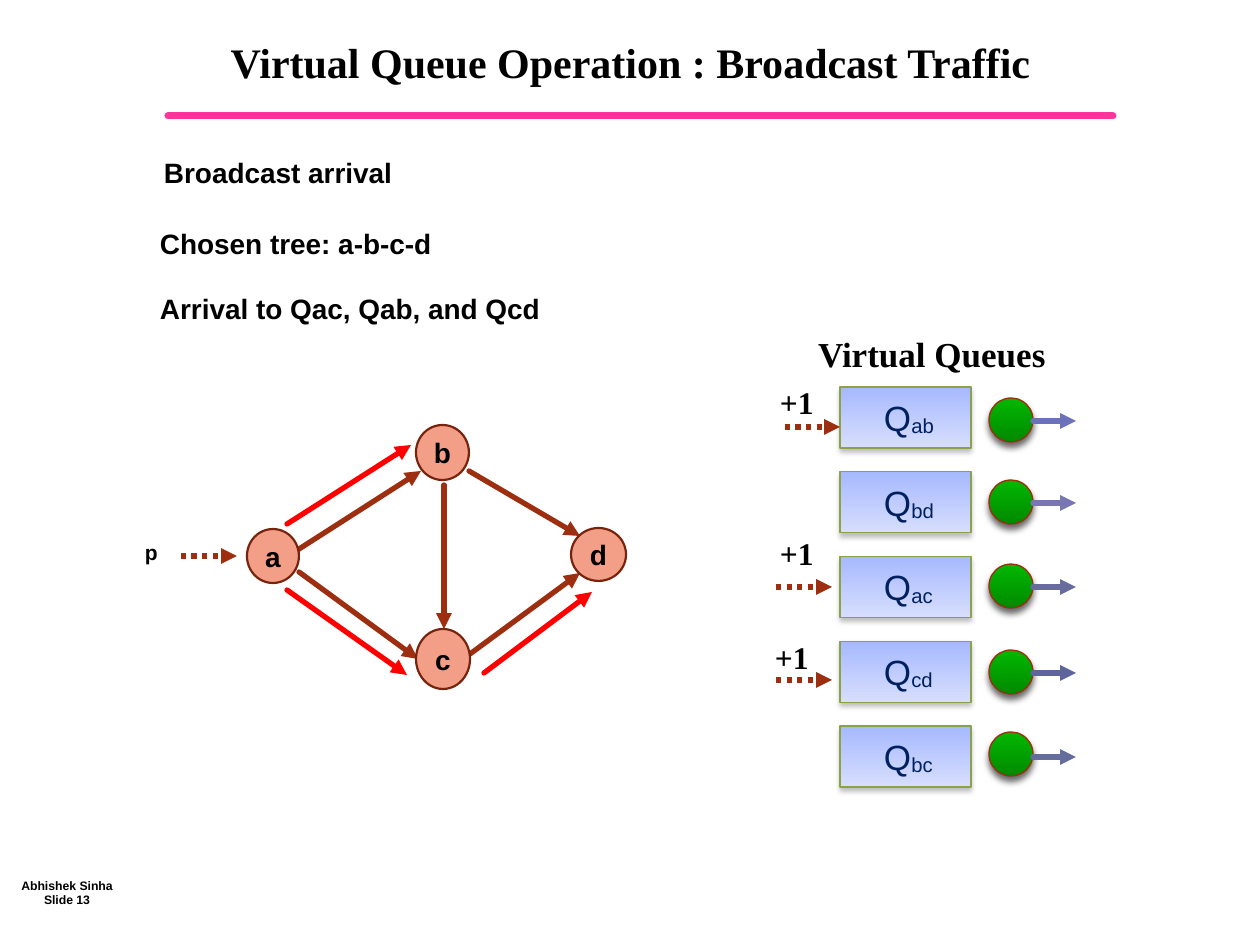
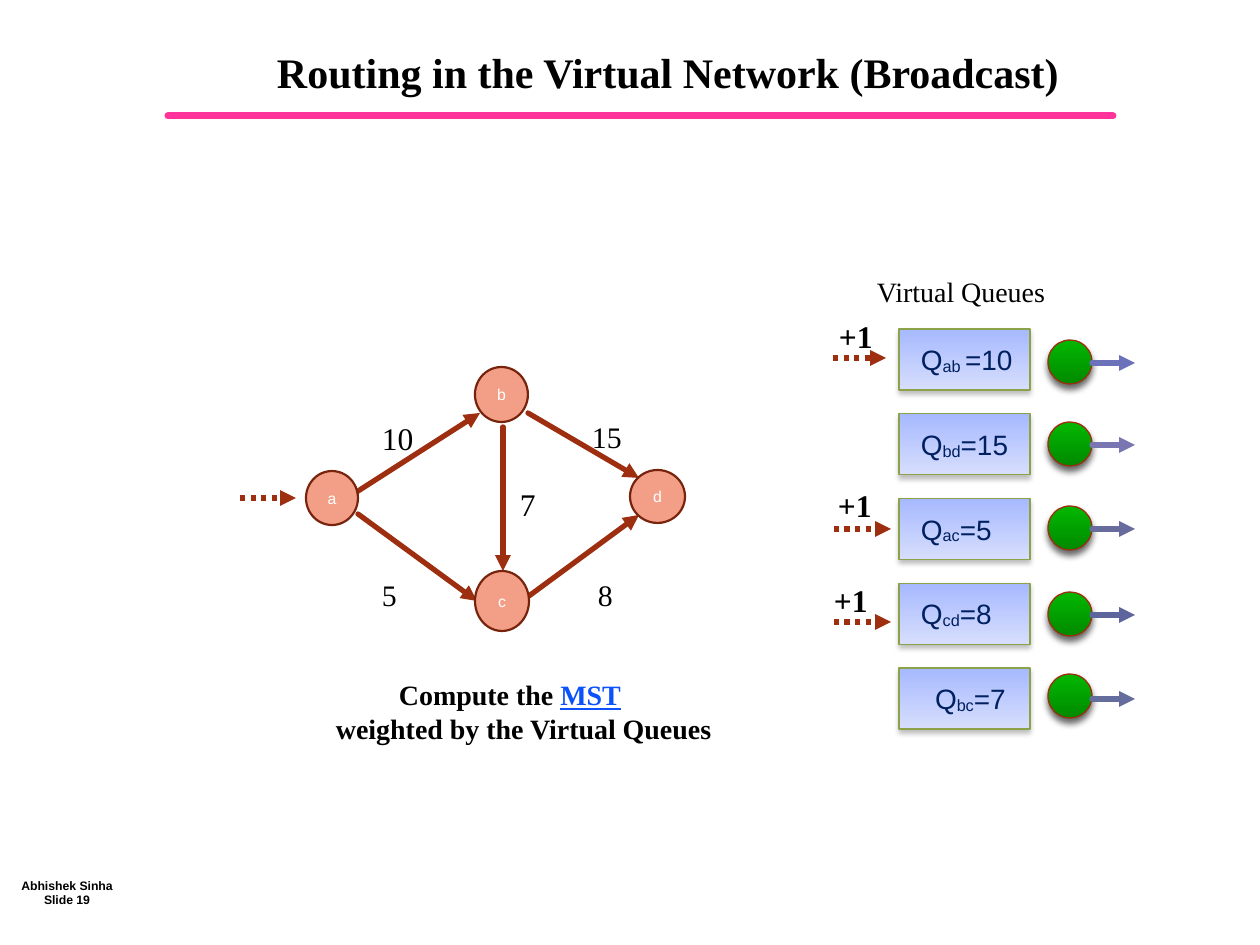
"""Build two slides on virtual queues under broadcast traffic."""
from dataclasses import dataclass

from lxml.etree import SubElement
from pptx import Presentation
from pptx.dml.color import RGBColor
from pptx.enum.dml import MSO_LINE
from pptx.enum.shapes import MSO_CONNECTOR, MSO_SHAPE
from pptx.enum.text import MSO_ANCHOR, PP_ALIGN
from pptx.oxml.ns import qn
from pptx.util import Pt

PX = 914400 / 126


@dataclass(frozen=True)
class Theme:
    sans: str = "Arial"
    serif: str = "Times New Roman"
    ink: str = "000000"
    white: str = "FFFFFF"
    rule: str = "FF3399"
    edge: str = "9D2E0F"
    tree: str = "FF0000"
    node: str = "F39E87"
    node_line: str = "78230C"
    queue: tuple = ("A6B9FE", "D7DEFD")
    queue_line: str = "8BA248"
    queue_text: str = "002060"
    server: tuple = ("03B701", "008A00")
    link: str = "0B52FC"
    title_size: int = 24
    mark_size: int = 18
    body_size: int = 16
    small_size: int = 12
    footer_size: int = 7


THEME = Theme()

NODES = {"a": (247, 529, 52, 54), "b": (416, 425, 53, 55),
         "c": (416, 629, 54, 60), "d": (571, 528, 55, 53)}
EDGES = [(296, 551, 421, 471), (469, 471, 580, 536), (470, 654, 580, 573),
         (299, 572, 418, 659), (444, 485, 444, 629)]
TREE_ARROWS = [(484, 673, 592, 592), (287, 590, 407, 675), (287, 524, 411, 445)]
SOURCE_ARROW = (181, 556, 237, 556)
QUEUE_LEFT, QUEUE_TOP, QUEUE_WIDTH, QUEUE_HEIGHT, QUEUE_SPAN = 840, 387, 131, 61, 339
SERVER_LEFT, SERVER_SIZE, OUT_LENGTH = 989, 44, 43
SERVERS = [("ab", 398, 421, "6C72BA"), ("bd", 480, 503, "7976B1"),
           ("ac", 564, 587, "676C9C"), ("cd", 650, 673, "5E649C"),
           ("bc", 732, 757, "656D9C")]

SLIDES = [
    {
        "title": ("Virtual Queue Operation : Broadcast Traffic", (142, 8, 977, 105)),
        "number": 13,
        "shift": (0, 0),
        "node_style": {"size": 16, "color": THEME.ink, "bold": True},
        "queue_size": 20,
        "heading": {"size": 20, "bold": True},
        "values": {},
        "indents": dict.fromkeys(["ab", "bd", "ac", "cd", "bc"], 39),
        "arrivals": [(785, 427, 840, 427), (776, 587, 832, 587), (776, 680, 832, 680)],
        "marks": [(775, 377), (775, 528), (770, 632)],
        "tree": TREE_ARROWS,
        "weights": [],
        "notes": [("Broadcast arrival", 151, 150, THEME.body_size),
                  ("Chosen tree: a-b-c-d", 147, 221, THEME.body_size),
                  ("Arrival to Qac, Qab, and Qcd", 147, 286, THEME.body_size),
                  ("p", 132, 533, THEME.small_size)],
        "caption": [],
    },
    {
        "title": ("Routing in the Virtual Network (Broadcast)", (202, 40, 932, 62)),
        "number": 19,
        "shift": (59, -58),
        "node_style": {"size": 9, "color": THEME.white},
        "queue_size": 16,
        "heading": {"size": 16},
        "values": {"ab": "=10", "bd": "=15", "ac": "=5", "cd": "=8", "bc": "=7"},
        "indents": {"ab": 17, "bd": 17, "ac": 17, "cd": 17, "bc": 31},
        "arrivals": [(833, 358, 886, 358), (834, 529, 891, 529), (834, 622, 891, 622)],
        "marks": [(834, 311), (833, 480), (829, 575)],
        "tree": [],
        "weights": [("10", 377, 413, 18), ("15", 587, 413, 17), ("5", 377, 571, 17),
                    ("8", 593, 571, 17), ("7", 515, 479, 18)],
        "notes": [],
        "caption": [[("Compute the ", {}), ("MST", {"color": THEME.link, "underline": True})],
                    [("weighted by the Virtual Queues", {})]],
    },
]


def emu(*lengths):
    """Turn pixel lengths into EMU."""
    return [round(length * PX) for length in lengths]


def rgb(color):
    """Return a colour object for a hex string."""
    return RGBColor.from_string(color)


def write(box, paragraphs, size, face=THEME.sans, color=THEME.ink, bold=False,
          align=PP_ALIGN.LEFT, anchor=MSO_ANCHOR.MIDDLE, insets=(5, 6)):
    """Fill a box with paragraphs, each a string or a list of (text, changes)."""
    frame = box.text_frame
    frame.word_wrap = True
    frame.vertical_anchor = anchor
    frame.margin_left, frame.margin_top = frame.margin_right, frame.margin_bottom = emu(*insets)
    for index, content in enumerate(paragraphs):
        para = frame.add_paragraph() if index else frame.paragraphs[0]
        para.alignment = align
        para.font.size, para.font.name, para.font.bold = Pt(size), face, bold
        para.font.color.rgb = rgb(color)
        for text, changes in [(content, {})] if isinstance(content, str) else content:
            span = para.add_run()
            span.text = text
            if "color" in changes:
                span.font.color.rgb = rgb(changes["color"])
            if "underline" in changes:
                span.font.underline = changes["underline"]
            if "baseline" in changes:
                span.font._element.set("baseline", changes["baseline"])
    return frame


def add_text(page, place, paragraphs, size, anchor=MSO_ANCHOR.TOP, **style):
    """Add a text box."""
    box = page.shapes.add_textbox(*emu(*place))
    return write(box, paragraphs, size, anchor=anchor, **style)


def add_line(page, ends, color, width=3, dotted=False, arrow=True):
    """Add a straight line, with an arrowhead unless told otherwise."""
    line = page.shapes.add_connector(MSO_CONNECTOR.STRAIGHT, *emu(*ends))
    line.line.color.rgb = rgb(color)
    line.line.width = Pt(width)
    outline = line.line._get_or_add_ln()
    if dotted:
        line.line.dash_style = MSO_LINE.ROUND_DOT
    else:
        outline.set("cap", "rnd")
    if arrow:
        SubElement(outline, qn("a:tailEnd"), type="triangle")
    SubElement(line._element.spPr, qn("a:effectLst"))


def add_figure(page, kind, place, fill, line, width, shadow=None):
    """Add a shape with a plain or two-colour fill and an optional soft shadow."""
    figure = page.shapes.add_shape(kind, *emu(*place))
    figure.shadow.inherit = False
    if isinstance(fill, tuple):
        figure.fill.gradient()
        figure.fill.gradient_angle = 270
        for stop, color in zip(figure.fill.gradient_stops, fill):
            stop.color.rgb = rgb(color)
    else:
        figure.fill.solid()
        figure.fill.fore_color.rgb = rgb(fill)
    figure.line.color.rgb = rgb(line)
    figure.line.width = Pt(width)
    if shadow:
        opacity, blur, distance = shadow
        effects = figure._element.spPr.find(qn("a:effectLst"))
        outer = SubElement(effects, qn("a:outerShdw"), blurRad=str(Pt(blur)),
                           dist=str(Pt(distance)), dir="5400000", rotWithShape="0")
        tint = SubElement(outer, qn("a:srgbClr"), val=THEME.ink)
        SubElement(tint, qn("a:alpha"), val=str(opacity * 1000))
    return figure


def add_frame(page, content):
    """Add the title, the rule and the footer."""
    title, place = content["title"]
    frame = add_text(page, place, [title], THEME.title_size, MSO_ANCHOR.MIDDLE,
                     face=THEME.serif, bold=True, align=PP_ALIGN.CENTER, insets=(13, 6))
    frame.paragraphs[0].line_spacing = Pt(30)
    add_line(page, (168, 116, 1113, 116), THEME.rule, 4, arrow=False)
    add_text(page, (0, 861, 134, 63), ["Abhishek Sinha", f"Slide {content['number']}"],
             THEME.footer_size, MSO_ANCHOR.MIDDLE, bold=True, align=PP_ALIGN.CENTER)


def add_network(page, content):
    """Add the four-node graph with its arrows and weights."""
    right, down = content["shift"]

    def moved(ends):
        return [value + step for value, step in zip(ends, (right, down) * 2)]

    for edge in EDGES:
        add_line(page, moved(edge), THEME.edge)
    for name, (left, top, width, height) in NODES.items():
        node = add_figure(page, MSO_SHAPE.OVAL, (left + right, top + down, width, height),
                          THEME.node, THEME.node_line, 1.25)
        write(node, [name], align=PP_ALIGN.CENTER, **content["node_style"])
    add_line(page, moved(SOURCE_ARROW), THEME.edge, dotted=True)
    for arrow in content["tree"]:
        add_line(page, arrow, THEME.tree)
    for weight, left, top, size in content["weights"]:
        add_text(page, (left, top, 60, 50), [weight], size, face=THEME.serif)


def add_queues(page, content):
    """Add the column of queues, their servers and their arrivals."""
    right, down = content["shift"]
    add_text(page, (813 + right, 326 + down, 243, 55), ["Virtual Queues"],
             face=THEME.serif, **content["heading"])
    for index, (name, server_top, out_y, out_color) in enumerate(SERVERS):
        top = QUEUE_TOP + QUEUE_SPAN * index / (len(SERVERS) - 1)
        queue = add_figure(page, MSO_SHAPE.RECTANGLE,
                           (QUEUE_LEFT + right, top + down, QUEUE_WIDTH, QUEUE_HEIGHT),
                           THEME.queue, THEME.queue_line, 0.75, (25, 3, 2))
        value = content["values"].get(name, "")
        subscript = name + " " if value and name == "ab" else name
        spans = [("Q", {}), (subscript, {"baseline": "-6000"})]
        if value:
            spans.append((value, {}))
        frame = write(queue, [spans], content["queue_size"], color=THEME.queue_text)
        frame.margin_left = emu(5 + content["indents"][name])[0]
        add_figure(page, MSO_SHAPE.OVAL,
                   (SERVER_LEFT + right, server_top + down, SERVER_SIZE, SERVER_SIZE),
                   THEME.server, THEME.edge, 0.75, (60, 4, 3))
        start, level = SERVER_LEFT + SERVER_SIZE + right, out_y + down
        add_line(page, (start, level, start + OUT_LENGTH, level), out_color)
    for arrival in content["arrivals"]:
        add_line(page, arrival, THEME.edge, dotted=True)
    for left, top in content["marks"]:
        add_text(page, (left, top, 60, 50), ["+1"], THEME.mark_size,
                 face=THEME.serif, bold=True)


def add_notes(page, content):
    """Add the side remarks and the caption."""
    for text, left, top, size in content["notes"]:
        add_text(page, (left, top, 447, 47), [text], size, bold=True, insets=(13, 6))
    if content["caption"]:
        frame = add_text(page, (331, 672, 393, 81), content["caption"], THEME.body_size,
                         face=THEME.serif, bold=True)
        frame.paragraphs[0]._p.get_or_add_pPr().set("marL", str(emu(63)[0]))


def main():
    """Build and save the deck."""
    deck = Presentation()
    deck.slide_width, deck.slide_height = emu(1260, 945)
    for content in SLIDES:
        page = deck.slides.add_slide(deck.slide_layouts[6])
        add_frame(page, content)
        add_network(page, content)
        add_queues(page, content)
        add_notes(page, content)
    deck.save("out.pptx")


if __name__ == "__main__":
    main()
